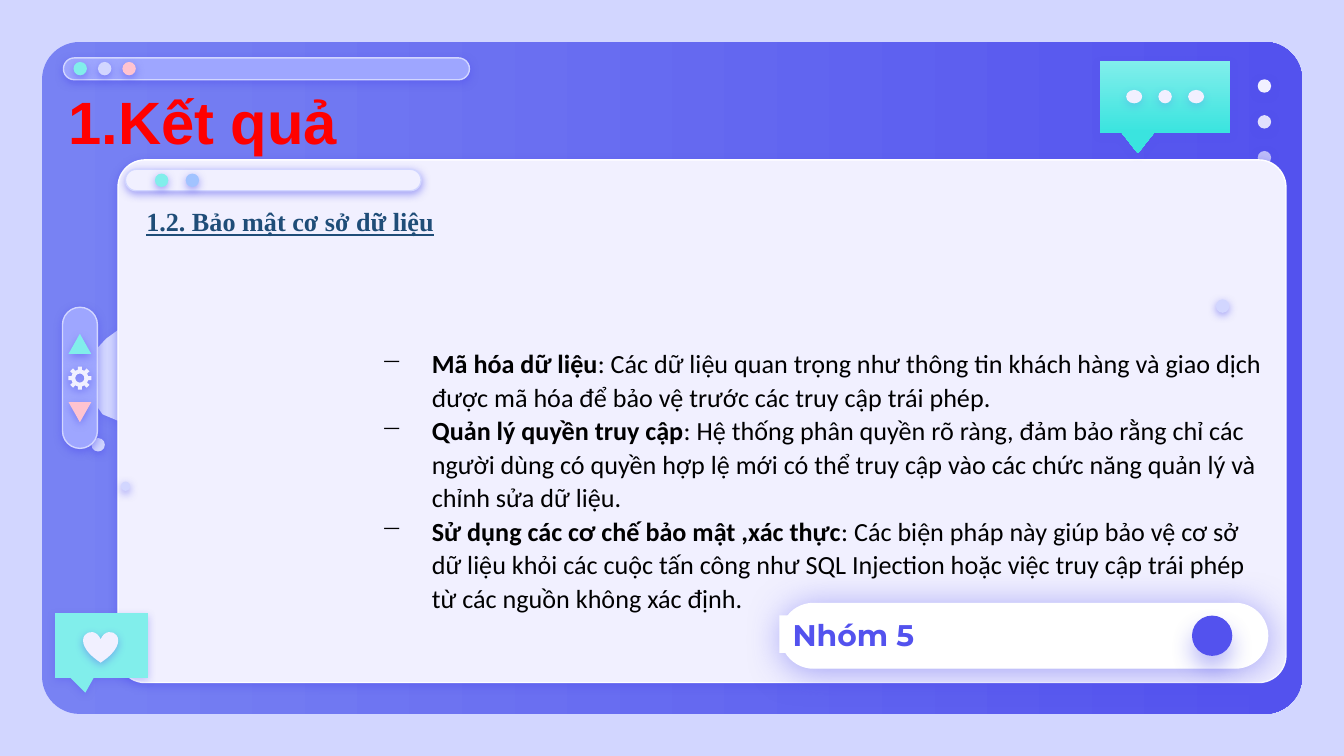
import math

from lxml import etree
from pptx import Presentation
from pptx.dml.color import RGBColor
from pptx.enum.shapes import MSO_SHAPE
from pptx.enum.text import MSO_ANCHOR, PP_ALIGN
from pptx.oxml.ns import qn
from pptx.util import Pt

OVAL, ROUND, HEART = MSO_SHAPE.OVAL, MSO_SHAPE.ROUNDED_RECTANGLE, MSO_SHAPE.HEART
CALLOUT, TRIANGLE = MSO_SHAPE.ROUNDED_RECTANGULAR_CALLOUT, MSO_SHAPE.ISOSCELES_TRIANGLE
MIDDLE, CENTER = MSO_ANCHOR.MIDDLE, PP_ALIGN.CENTER

COLORS = {
    "indigo": "5352EE", "periwinkle": "7882F3", "lilac": "9EA6FF", "lavender": "D2D6FF",
    "pale": "F1F0FF", "white": "FFFFFF", "mint": "81EEEB", "teal": "3AE4DF",
    "pink": "FFC3D0", "sky": "A1C3FF", "red": "FF0000", "navy": "1F4D78", "black": "000000",
}
RGB = {name: RGBColor.from_string(code) for name, code in COLORS.items()}


def style(shape, fill, line=None, shadow=50, blur=4.5, drop=1.5, opacity=100):
    """Fill (one colour or a pair for a gradient), outline and soft shadow below."""
    if isinstance(fill, tuple):
        shape.fill.gradient()
        for stop, name in zip(shape.fill.gradient_stops, fill):
            stop.color.rgb = RGB[name]
    else:
        shape.fill.solid()
        shape.fill.fore_color.rgb = RGB[fill]
    if opacity < 100:
        color = shape.element.spPr.find(".//" + qn("a:srgbClr"))
        etree.SubElement(color, qn("a:alpha"), val=str(opacity * 1000))
    if line:
        shape.line.color.rgb = RGB[line]
        shape.line.width = Pt(0.75)
    else:
        shape.line.fill.background()
    shape.shadow.inherit = False
    if shadow:
        effects = shape.element.spPr.find(qn("a:effectLst"))
        outer = etree.SubElement(effects, qn("a:outerShdw"), blurRad=str(Pt(blur)),
                                 dist=str(Pt(drop)), dir="5400000", rotWithShape="0")
        color = etree.SubElement(outer, qn("a:srgbClr"), val=COLORS["indigo"])
        etree.SubElement(color, qn("a:alpha"), val=str(shadow * 1000))


def add_shape(kind, left, top, width, height, fill, adjust=(), **look):
    shape = page.shapes.add_shape(kind, Pt(left), Pt(top), Pt(width), Pt(height))
    for index, value in enumerate(adjust):
        shape.adjustments[index] = value
    style(shape, fill, **look)
    return shape


deck = Presentation()
deck.slide_width, deck.slide_height = Pt(720), Pt(405)
page = deck.slides.add_slide(deck.slide_layouts[6])
page.background.fill.solid()
page.background.fill.fore_color.rgb = RGB["lavender"]

# Window frame with its menu dots and address bar
frame = add_shape(ROUND, 22.5, 22.5, 675, 360, ("periwinkle", "indigo"), [0.056], shadow=0)
frame.fill.gradient_angle = 0
for row, opacity in enumerate((100, 90, 67)):
    add_shape(OVAL, 673.8, 42.5 + 19.2 * row, 7.2, 7.2, "pale", opacity=opacity)
add_shape(ROUND, 34, 31, 217.5, 11.7, "lilac", [0.5], line="lavender")
for column, name in enumerate(("mint", "lavender", "pink")):
    add_shape(OVAL, 39.4 + 13.1 * column, 33.2, 7.2, 7.2, name)

# Blob peeking out from behind the panel
outline = [
    (107.3, 126), (111, 130), (103, 146), (103.7, 162), (97.9, 174.2), (90, 181.4),
    (86.4, 195.1), (87.8, 208.8), (85, 220.3), (75.6, 227.5), (64.8, 226.1), (55, 222),
    (48.2, 212.4), (46.2, 202), (48.5, 190.5), (56.9, 181.4), (64.8, 175.7),
    (71.3, 159.1), (80, 151), (95.8, 142.6), (100.1, 131.8),
]
builder = page.shapes.build_freeform(Pt(outline[0][0]), Pt(outline[0][1]))
builder.add_line_segments([(Pt(x), Pt(y)) for x, y in outline[1:]], close=True)
style(builder.convert_to_shape(), "lavender", shadow=22)

# Main panel and team label
add_shape(ROUND, 63.2, 85.7, 625.7, 280, "pale", [0.052], line="white")
add_shape(ROUND, 418.5, 323.3, 260.6, 34.6, "white", [0.5], line="white", blur=19.1)
team = page.shapes.add_textbox(Pt(417.6), Pt(329.6), Pt(235.4), Pt(20.2))
team.fill.solid()
team.fill.fore_color.rgb = RGB["white"]

# Heart bubble and chat bubble
add_shape(CALLOUT, 29.5, 328.5, 49.7, 34.6, "mint", [-0.174, 0.731, 0], shadow=31)
add_shape(HEART, 44.6, 338.4, 18.7, 16.6, "pale", shadow=38)
chat = add_shape(CALLOUT, 589.2, 32.6, 70, 38.4, ("mint", "teal"), [-0.209, 0.79, 0], shadow=24)
chat.fill.gradient_angle = 270
for column, width in enumerate((8.6, 7.2, 8.6)):
    add_shape(OVAL, 607.6 + 16.6 * column - width / 2, 48.2, width, 7.2, "pale", shadow=18)

# Loose dots
add_shape(OVAL, 638.6, 329.8, 21.6, 21.6, "indigo", shadow=38, blur=12.4, drop=6.8)
for left, top, size in ((49, 234.7, 7.2), (64.8, 258, 5), (651.4, 160.4, 7.2)):
    add_shape(OVAL, left, top, size, size, "lavender")

# Panel tab
add_shape(ROUND, 67.2, 90.7, 158.4, 11.5, "pale", [0.5], line="lavender")
for left, name in ((83, "mint"), (99.5, "sky")):
    add_shape(OVAL, left, 93, 7.2, 7.2, name)

# Side control with arrows and a gear
add_shape(ROUND, 33.5, 164.6, 18.7, 75.6, "lilac", [0.5], line="lavender")
add_shape(TRIANGLE, 36.7, 178.8, 12.2, 10.8, "mint")
add_shape(TRIANGLE, 36.7, 215.4, 12.2, 10.8, "pink").rotation = 180
center_x, center_y, teeth = 42.8, 202.6, 8
rim, hole = [], []
for tooth in range(teeth):
    for offset, radius in ((-13, 4.6), (-10, 6.3), (10, 6.3), (13, 4.6)):
        angle = math.radians(360 / teeth * tooth + offset)
        rim.append((Pt(center_x + radius * math.cos(angle)), Pt(center_y + radius * math.sin(angle))))
for step in range(24):
    angle = -math.radians(15 * step)
    hole.append((Pt(center_x + 2.4 * math.cos(angle)), Pt(center_y + 2.4 * math.sin(angle))))
builder = page.shapes.build_freeform(*rim[0])
builder.add_line_segments(rim[1:], close=True)
builder.move_to(*hole[0])
builder.add_line_segments(hole[1:], close=True)
style(builder.convert_to_shape(), "pale", shadow=52)

# Headings
title = page.shapes.add_textbox(Pt(-16.6), Pt(51.8), Pt(250.6), Pt(25.9))
subtitle = page.shapes.add_textbox(Pt(71.3), Pt(105.5), Pt(169.9), Pt(25.2))
headings = (
    (team, "Nhóm 5", 16, "Montserrat", "indigo", 7.2),
    (title, "1.Kết quả", 32, "Arial", "red", 0),
    (subtitle, "1.2. Bảo mật cơ sở dữ liệu", 14, "Times New Roman", "navy", None),
)
for box, text, size, font, color, inset in headings:
    frame = box.text_frame
    if inset is not None:
        frame.word_wrap = True
        frame.vertical_anchor = MIDDLE
        frame.margin_left = frame.margin_right = frame.margin_top = frame.margin_bottom = Pt(inset)
    span = frame.paragraphs[0].add_run()
    span.text = text
    span.font.name, span.font.size, span.font.bold = font, Pt(size), True
    span.font.color.rgb = RGB[color]
title.text_frame.paragraphs[0].alignment = CENTER
subtitle_para = subtitle.text_frame.paragraphs[0]
subtitle_para.line_spacing = 1.07
subtitle_para.runs[0].font.underline = True

# Security measures
measures = (
    ("Mã hóa dữ liệu",
     ": Các dữ liệu quan trọng như thông tin khách hàng và giao dịch được mã hóa để bảo vệ "
     "trước các truy cập trái phép."),
    ("Quản lý quyền truy cập",
     ": Hệ thống phân quyền rõ ràng, đảm bảo rằng chỉ các người dùng có quyền hợp lệ mới có thể "
     "truy cập vào các chức năng quản lý và chỉnh sửa dữ liệu."),
    ("Sử dụng các cơ chế bảo mật ,xác thực",
     ": Các biện pháp này giúp bảo vệ cơ sở dữ liệu khỏi các cuộc tấn công như SQL Injection "
     "hoặc việc truy cập trái phép từ các nguồn không xác định."),
)
body = page.shapes.add_textbox(Pt(197.3), Pt(181.4), Pt(486.7), Pt(152.6)).text_frame
body.word_wrap = True
for index, measure in enumerate(measures):
    para = body.paragraphs[0] if index == 0 else body.add_paragraph()
    para.line_spacing = 1.07
    properties = para._p.get_or_add_pPr()
    properties.set("marL", str(Pt(27)))
    properties.set("indent", str(-Pt(27)))
    bullet_color = etree.SubElement(properties, qn("a:buClr"))
    etree.SubElement(bullet_color, qn("a:srgbClr"), val=COLORS["black"])
    etree.SubElement(properties, qn("a:buChar"), char="−")
    for text, bold in zip(measure, (True, False)):
        span = para.add_run()
        span.text = text
        span.font.name, span.font.size, span.font.bold = "Calibri", Pt(14), bold
        span.font.color.rgb = RGB["black"]

deck.save("out.pptx")
